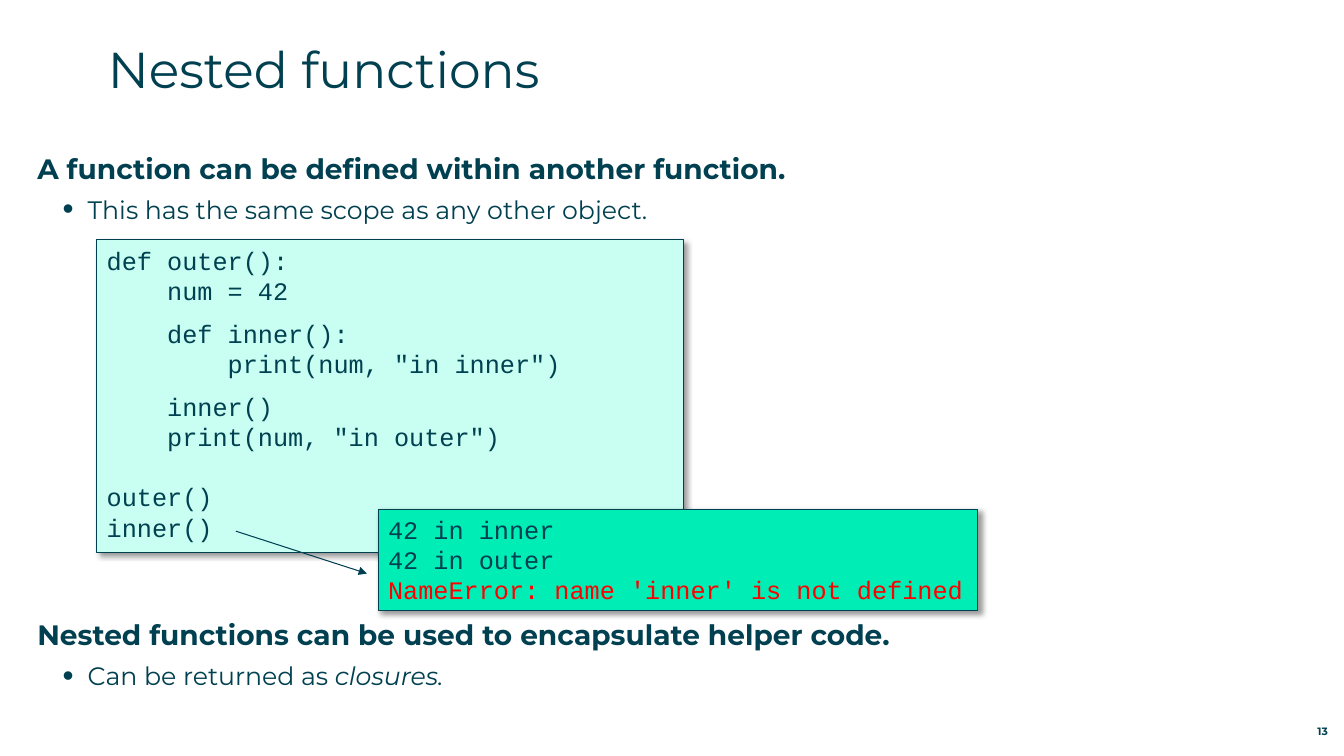
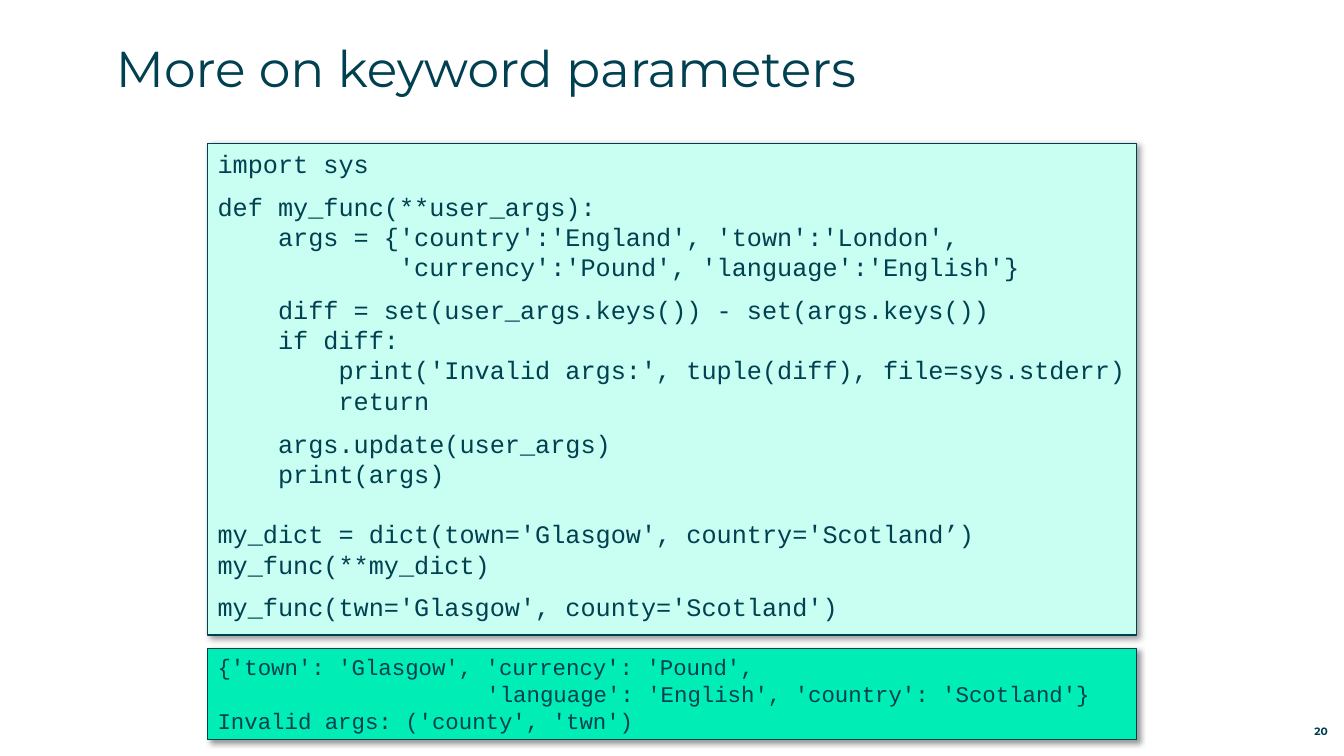
import pptx
import pptx.dml.color
import pptx.enum.shapes
import pptx.enum.text
import pptx.oxml.ns
import pptx.util
from lxml import etree

Inches = pptx.util.Inches
Pt = pptx.util.Pt
RGBColor = pptx.dml.color.RGBColor
Anchor = pptx.enum.text.MSO_ANCHOR
Align = pptx.enum.text.PP_ALIGN
qn = pptx.oxml.ns.qn

INK = RGBColor(0x00, 0x40, 0x50)
CODE_FILL = RGBColor(0xC8, 0xFF, 0xF2)
OUTPUT_FILL = RGBColor(0x00, 0xED, 0xB5)
ERROR = RGBColor(0xFF, 0x00, 0x00)
TEXT_FONT = "Montserrat"
CODE_FONT = "Courier New"
CHAR_WIDTH = 0.6
LINE_HEIGHT = 1.2
SMALL_GAP = 9
BLANK_LINE = 21.6


def add_xml(parent, tag, **attributes):
    return etree.SubElement(parent, qn(tag), attributes)


class LessonDeck:
    def __init__(self):
        self.deck = pptx.Presentation()
        self.deck.slide_width = Inches(13.33)
        self.deck.slide_height = Inches(7.5)
        self.page = None

    def start_page(self, layout, title, left, top, number):
        self.page = self.deck.slides.add_slide(self.deck.slide_layouts[layout])
        frame = self.place(self.page.shapes.title, left, top, 12.6, 0.88)
        para = frame.paragraphs[0]
        para.alignment = Align.LEFT
        self.span(para, title, 36)
        box = self.page.shapes.add_textbox(0, 0, 0, 0)
        frame = self.place(box, 12.31, 7.12, 0.86, 0.2, Anchor.BOTTOM)
        para = frame.paragraphs[0]
        para.alignment = Align.RIGHT
        self.span(para, str(number), 7.6, bold=True)

    def place(self, box, left, top, width, height, anchor=Anchor.TOP):
        box.left, box.top = Inches(left), Inches(top)
        box.width, box.height = Inches(width), Inches(height)
        frame = box.text_frame
        frame.margin_left = frame.margin_right = 0
        frame.margin_top = frame.margin_bottom = 0
        frame.word_wrap = True
        frame.auto_size = pptx.enum.text.MSO_AUTO_SIZE.NONE
        frame.vertical_anchor = anchor
        return frame

    def span(self, para, text, size, font=TEXT_FONT, color=INK, bold=False, italic=False):
        span = para.add_run()
        span.text = text
        span.font.name = font
        span.font.size = Pt(size)
        span.font.color.rgb = color
        span.font.bold = bold
        span.font.italic = italic

    def next_para(self, frame, left=0, hanging=0, after=0):
        first = frame.paragraphs[0]
        para = frame.add_paragraph() if first.runs else first
        para.alignment = Align.LEFT
        para.space_before = Pt(0)
        para.space_after = Pt(after)
        properties = para._p.get_or_add_pPr()
        properties.set("marL", str(int(left)))
        properties.set("indent", str(int(-hanging)))
        return para

    def body(self, topics, gap):
        frame = self.place(self.page.placeholders[1], 0.37, 1.5, 12.59, 5.42)
        for heading, point, emphasis in topics:
            para = self.next_para(frame, after=6.5)
            add_xml(para._p.get_or_add_pPr(), "a:buNone")
            self.span(para, heading, 20, bold=True)
            last = heading == topics[-1][0]
            para = self.next_para(frame, Inches(0.5), Inches(0.25), 6.5 if last else gap)
            para.level = 1
            properties = para._p.get_or_add_pPr()
            add_xml(properties, "a:buSzPct", val="125000")
            add_xml(properties, "a:buChar", char="•")
            self.span(para, point, 18)
            if emphasis:
                self.span(para, emphasis, 18, italic=True)

    def panel(self, left, top, width, height, fill, chunks, size=18):
        box = self.page.shapes.add_shape(
            pptx.enum.shapes.MSO_SHAPE.RECTANGLE, 0, 0, 0, 0)
        frame = self.place(box, left, top, width, height)
        frame.margin_left = Inches(0.1)
        frame.margin_top = frame.margin_bottom = Inches(0.05)
        box.fill.solid()
        box.fill.fore_color.rgb = fill
        box.line.color.rgb = INK
        box.line.width = Pt(0.75)
        self.drop_shadow(box)
        for lines, gap in chunks:
            for index, line in enumerate(lines, 1):
                code = line.lstrip()
                indent = Pt((len(line) - len(code)) * CHAR_WIDTH * size)
                para = self.next_para(frame, indent, after=gap if index == len(lines) else 0)
                para.line_spacing = Pt(size * LINE_HEIGHT)
                color = ERROR if code.startswith("NameError") else INK
                self.span(para, code, size, CODE_FONT, color)

    def drop_shadow(self, box):
        box.shadow.inherit = False
        effects = box._element.spPr.find(qn("a:effectLst"))
        shadow = add_xml(effects, "a:outerShdw", blurRad=str(Pt(4)), dist=str(Pt(3)),
                         dir=str(45 * 60000), algn="tl", rotWithShape="0")
        color = add_xml(shadow, "a:srgbClr", val="000000")
        add_xml(color, "a:alpha", val="40000")

    def arrow(self, left, top, right, bottom):
        line = self.page.shapes.add_connector(
            pptx.enum.shapes.MSO_CONNECTOR.STRAIGHT,
            Inches(left), Inches(top), Inches(right), Inches(bottom))
        line.line.color.rgb = INK
        line.line.width = Pt(0.75)
        properties = line._element.spPr
        add_xml(properties.find(qn("a:ln")), "a:tailEnd", type="triangle")
        add_xml(properties, "a:effectLst")


def nested_functions(lesson):
    lesson.start_page(1, "Nested functions", 1.07, 0.38, 13)
    lesson.body([
        ("A function can be defined within another function.",
         "This has the same scope as any other object.", ""),
        ("Nested functions can be used to encapsulate helper code.",
         "Can be returned as ", "closures."),
    ], gap=281)
    lesson.panel(0.96, 2.38, 5.82, 3.1, CODE_FILL, [
        (["def outer():",
          "    num = 42"], SMALL_GAP),
        (["    def inner():",
          "        print(num, \"in inner\")"], SMALL_GAP),
        (["    inner()",
          "    print(num, \"in outer\")"], BLANK_LINE),
        (["outer()",
          "inner()"], 0),
    ])
    lesson.panel(3.75, 5.05, 5.95, 1.01, OUTPUT_FILL, [
        (["42 in inner",
          "42 in outer",
          "NameError: name 'inner' is not defined"], 0),
    ])
    lesson.arrow(2.34, 5.27, 3.64, 5.69)


def keyword_parameters(lesson):
    lesson.start_page(5, "More on keyword parameters", 1.15, 0.37, 20)
    lesson.panel(2.06, 1.42, 9.21, 4.88, CODE_FILL, [
        (["import sys"], SMALL_GAP),
        (["def my_func(**user_args):",
          "    args = {'country':'England', 'town':'London',",
          "            'currency':'Pound', 'language':'English'}"], SMALL_GAP),
        (["    diff = set(user_args.keys()) - set(args.keys())",
          "    if diff:",
          "        print('Invalid args:', tuple(diff), file=sys.stderr)",
          "        return"], SMALL_GAP),
        (["    args.update(user_args)",
          "    print(args)"], BLANK_LINE),
        (["my_dict = dict(town='Glasgow', country='Scotland’)",
          "my_func(**my_dict)"], SMALL_GAP),
        (["my_func(twn='Glasgow', county='Scotland')"], 0),
    ])
    lesson.panel(2.06, 6.43, 9.21, 0.91, OUTPUT_FILL, [
        (["{'town': 'Glasgow', 'currency': 'Pound',",
          "                    'language': 'English', 'country': 'Scotland'}",
          "Invalid args: ('county', 'twn')"], 0),
    ], size=16)


def main():
    lesson = LessonDeck()
    nested_functions(lesson)
    keyword_parameters(lesson)
    lesson.deck.save("out.pptx")


if __name__ == "__main__":
    main()
